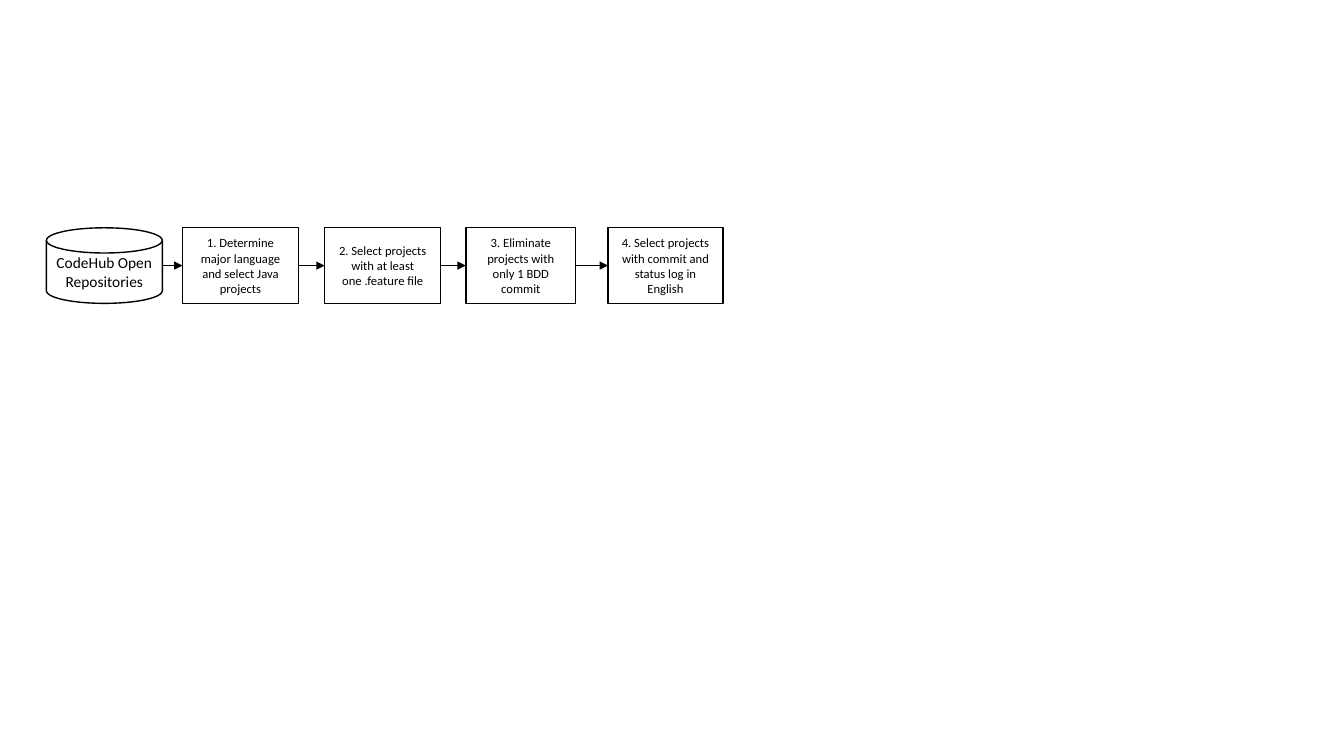
import dataclasses

import lxml.etree
import pptx
import pptx.dml.color
import pptx.enum.shapes
import pptx.enum.text
import pptx.oxml.ns
import pptx.shapes.autoshape
import pptx.slide
import pptx.util

Inches = pptx.util.Inches
Pt = pptx.util.Pt
Shape = pptx.enum.shapes.MSO_SHAPE
RGBColor = pptx.dml.color.RGBColor
qn = pptx.oxml.ns.qn


@dataclasses.dataclass(frozen=True)
class Theme:
    ink: RGBColor = RGBColor(0x00, 0x00, 0x00)
    paper: RGBColor = RGBColor(0xFF, 0xFF, 0xFF)
    font: str = "Calibri"
    source_size: float = 11
    step_size: float = 9
    outline: float = 1
    arrow: float = 0.5


@dataclasses.dataclass(frozen=True)
class Stage:
    text: str
    left: float
    width: float
    size: float = Theme.step_size
    kind: Shape = Shape.FLOWCHART_PROCESS


THEME = Theme()
ROW_TOP, ROW_HEIGHT = 2.26, 0.75
RIGHT_SIDE, LEFT_SIDE = 3, 1

STAGES = [
    Stage("CodeHub Open Repositories", 0.46, 1.15, THEME.source_size,
          Shape.FLOWCHART_MAGNETIC_DISK),
    Stage("1. Determine major language and select Java projects", 1.81, 1.15),
    Stage("2. Select projects with at least one .feature file", 3.22, 1.15),
    Stage("3. Eliminate projects with only 1 BDD commit", 4.62, 1.09),
    Stage("4. Select projects with commit and status log in English", 6.03, 1.14),
]


def draw_stage(page: pptx.slide.Slide, stage: Stage) -> pptx.shapes.autoshape.Shape:
    """Draw one outlined stage with centred text."""
    box = page.shapes.add_shape(stage.kind, Inches(stage.left), Inches(ROW_TOP),
                                Inches(stage.width), Inches(ROW_HEIGHT))
    box.shadow.inherit = False
    box.fill.solid()
    box.fill.fore_color.rgb = THEME.paper
    box.line.color.rgb = THEME.ink
    box.line.width = Pt(THEME.outline)

    frame = box.text_frame
    frame.word_wrap = True
    frame.vertical_anchor = pptx.enum.text.MSO_ANCHOR.MIDDLE
    para = frame.paragraphs[0]
    para.alignment = pptx.enum.text.PP_ALIGN.CENTER
    span = para.add_run()
    span.text = stage.text
    span_format = {"name": THEME.font, "size": Pt(stage.size)}
    for attribute, value in span_format.items():
        setattr(span.font, attribute, value)
    span.font.color.rgb = THEME.ink
    return box


def draw_arrow(page: pptx.slide.Slide, start: pptx.shapes.autoshape.Shape,
               end: pptx.shapes.autoshape.Shape) -> None:
    """Draw an arrow from the right side of one stage to the left of the next."""
    middle = start.top + start.height // 2
    arrow = page.shapes.add_connector(pptx.enum.shapes.MSO_CONNECTOR.STRAIGHT,
                                      start.left + start.width, middle,
                                      end.left, middle)
    # The disk numbers its connection sites differently from a rectangle
    if start.auto_shape_type == Shape.FLOWCHART_PROCESS:
        arrow.begin_connect(start, RIGHT_SIDE)
    arrow.end_connect(end, LEFT_SIDE)
    arrow.line.color.rgb = THEME.ink
    arrow.line.width = Pt(THEME.arrow)

    # Arrowhead, and no shadow
    properties = arrow.element.spPr
    line = properties.find(qn("a:ln"))
    lxml.etree.SubElement(line, qn("a:tailEnd"), type="triangle")
    lxml.etree.SubElement(properties, qn("a:effectLst"))


def main() -> None:
    deck = pptx.Presentation()
    deck.slide_width, deck.slide_height = Inches(13.33), Inches(7.5)
    page = deck.slides.add_slide(deck.slide_layouts[6])

    # Stages from left to right
    boxes = [draw_stage(page, stage) for stage in STAGES]

    # Arrows between neighbours
    for start, end in zip(boxes, boxes[1:]):
        draw_arrow(page, start, end)

    deck.save("out.pptx")


if __name__ == "__main__":
    main()
